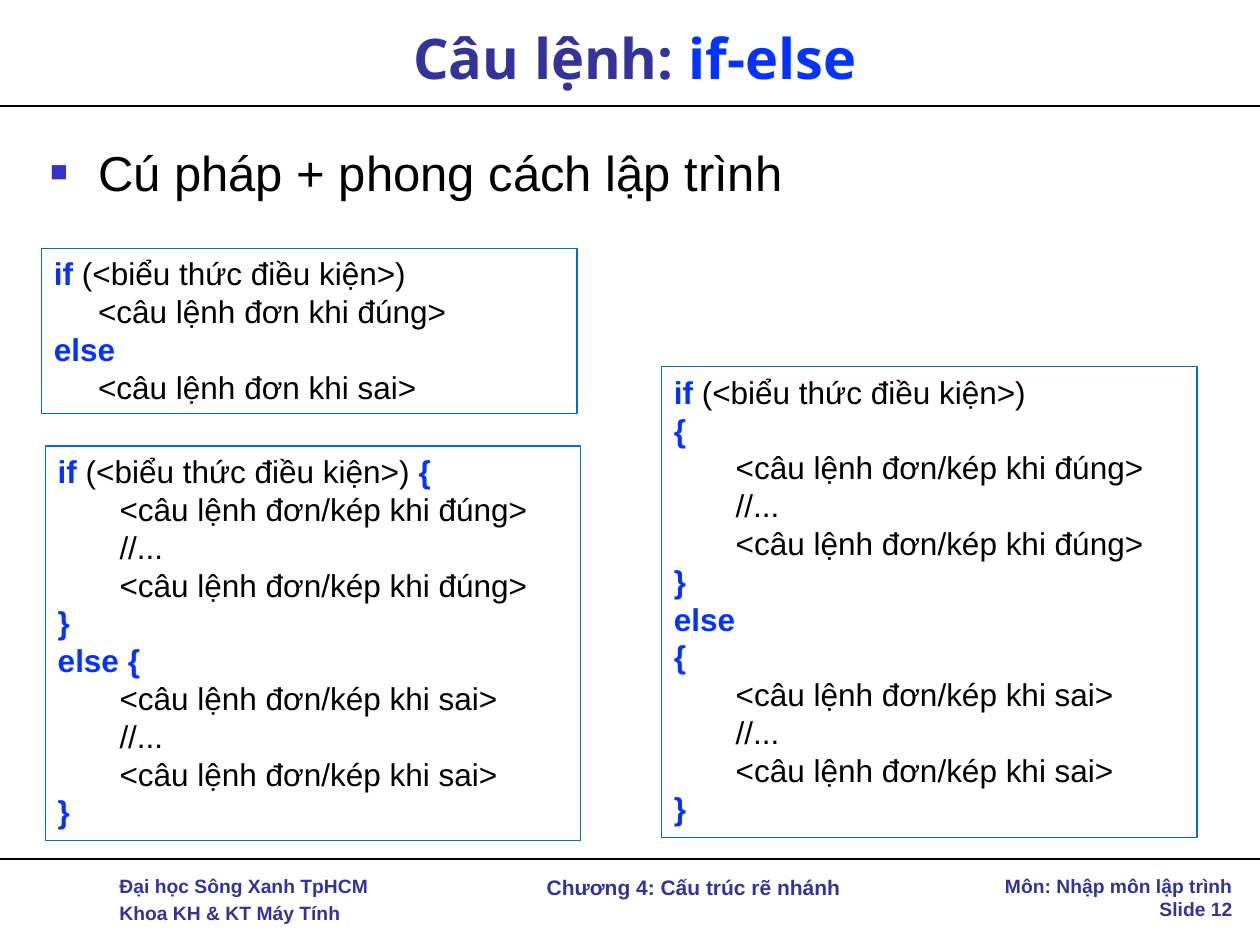
import pptx
import pptx.util
import pptx.dml.color
import pptx.enum.shapes
import pptx.enum.text
import pptx.oxml.ns
from lxml import etree

Inches = pptx.util.Inches
Pt = pptx.util.Pt
RGBColor = pptx.dml.color.RGBColor
Align = pptx.enum.text.PP_ALIGN
Anchor = pptx.enum.text.MSO_ANCHOR
qn = pptx.oxml.ns.qn

BLACK = RGBColor(0x00, 0x00, 0x00)
NAVY = RGBColor(0x33, 0x33, 0x99)
KEYWORD = RGBColor(0x04, 0x32, 0xFF)
BORDER = RGBColor(0x00, 0x70, 0xC0)
BULLET = "3333CC"

# Code lines are (indent in inches, text); keywords stand between asterisks
CONDITION = "*if* (<biểu thức điều kiện>)"
SIMPLE = [
    (0, CONDITION),
    (0.35, "<câu lệnh đơn khi đúng>"),
    (0, "*else*"),
    (0.35, "<câu lệnh đơn khi sai>"),
]


def block(case):
    statement = f"<câu lệnh đơn/kép khi {case}>"
    return [(0.49, text) for text in (statement, "//...", statement)] + [(0, "*}*")]


SAME_LINE = [(0, CONDITION + " *{*"), *block("đúng"), (0, "*else {*"), *block("sai")]
OWN_LINE = [(0, CONDITION), (0, "*{*"), *block("đúng"),
            (0, "*else*"), (0, "*{*"), *block("sai")]


def add_text(para, text, size=18, color=BLACK, bold=False, font="Arial",
             align=Align.LEFT, before=0):
    """Write text to a paragraph; parts between asterisks become bold keywords."""
    para.alignment = align
    para.space_before = Pt(before)
    for index, part in enumerate(text.split("*")):
        if not part:
            continue
        is_keyword = index % 2 == 1
        span = para.add_run()
        span.text = part
        span.font.name = font
        span.font.size = Pt(size)
        span.font.bold = bold or is_keyword
        span.font.color.rgb = KEYWORD if is_keyword else color


def set_indent(para, left, first=0):
    properties = para._p.get_or_add_pPr()
    properties.set("marL", str(Inches(left)))
    properties.set("indent", str(Inches(first)))
    return properties


def add_paragraph(frame, index):
    return frame.add_paragraph() if index else frame.paragraphs[0]


def add_box(page, left, top, width, height, lines, **style):
    box = page.shapes.add_textbox(Inches(left), Inches(top), Inches(width), Inches(height))
    box.text_frame.word_wrap = True
    for index, line in enumerate(lines):
        para = add_paragraph(box.text_frame, index)
        gap = style.get("before", 0) if index else 0
        add_text(para, line, **{**style, "before": gap})
    return box


def add_code(page, left, top, height, lines):
    box = page.shapes.add_shape(pptx.enum.shapes.MSO_SHAPE.RECTANGLE, Inches(left),
                                Inches(top), Inches(4.25), Inches(height))
    box.shadow.inherit = False
    box.fill.background()
    box.line.color.rgb = BORDER
    box.line.width = Pt(0.75)
    frame = box.text_frame
    frame.word_wrap = True
    frame.vertical_anchor = Anchor.TOP
    for index, (indent, line) in enumerate(lines):
        para = add_paragraph(frame, index)
        add_text(para, line)
        set_indent(para, indent)


def add_rule(page, top):
    rule = page.shapes.add_connector(pptx.enum.shapes.MSO_CONNECTOR.STRAIGHT,
                                     0, Inches(top), Inches(10), Inches(top))
    rule.line.color.rgb = BLACK
    rule.line.width = Pt(1)
    etree.SubElement(rule._element.spPr, qn("a:effectLst"))


def add_title(page, text):
    title = page.shapes.title
    title.left, title.top = Inches(0.33), Inches(0.08)
    title.width, title.height = Inches(9.42), Inches(0.75)
    frame = title.text_frame
    frame.auto_size = pptx.enum.text.MSO_AUTO_SIZE.NONE
    frame.vertical_anchor = Anchor.MIDDLE
    add_text(frame.paragraphs[0], text, size=32, color=NAVY, bold=True,
             font="Open Sans", align=Align.CENTER)


def add_bullet(page, text):
    box = add_box(page, 0.3, 1.08, 9.42, 0.7, [text], size=28)
    para = box.text_frame.paragraphs[0]
    para.space_before = Pt(5.6)
    properties = set_indent(para, 0.38, -0.38)
    color = etree.SubElement(properties, qn("a:buClr"))
    etree.SubElement(color, qn("a:srgbClr"), val=BULLET)
    etree.SubElement(properties, qn("a:buSzPct"), val="60000")
    etree.SubElement(properties, qn("a:buFont"), typeface="Arial")
    etree.SubElement(properties, qn("a:buChar"), char="■")


def add_footer(page):
    style = {"color": NAVY, "bold": True}
    add_box(page, 0.85, 6.89, 2.33, 0.51,
            ["Đại học Sông Xanh TpHCM", "Khoa KH & KT Máy Tính"],
            size=11, before=2.2, **style)
    add_box(page, 7.83, 6.89, 2.05, 0.47, ["Môn: Nhập môn lập trình", "Slide 12"],
            size=11, align=Align.RIGHT, **style)
    add_box(page, 3.18, 6.89, 4.65, 0.3, ["Chương 4: Cấu trúc rẽ nhánh"],
            size=12, align=Align.CENTER, **style)


def main():
    deck = pptx.Presentation()
    deck.slide_width, deck.slide_height = Inches(10), Inches(7.5)
    page = deck.slides.add_slide(deck.slide_layouts[5])

    # Frame of the page
    add_footer(page)
    add_rule(page, 6.82)
    add_rule(page, 0.84)

    # Heading and topic
    add_title(page, "Câu lệnh: *if-else*")
    add_bullet(page, "Cú pháp + phong cách lập trình")

    # Code samples
    add_code(page, 5.25, 2.91, 3.74, OWN_LINE)
    add_code(page, 0.33, 1.97, 1.31, SIMPLE)
    add_code(page, 0.36, 3.54, 3.13, SAME_LINE)

    deck.save("out.pptx")


main()
